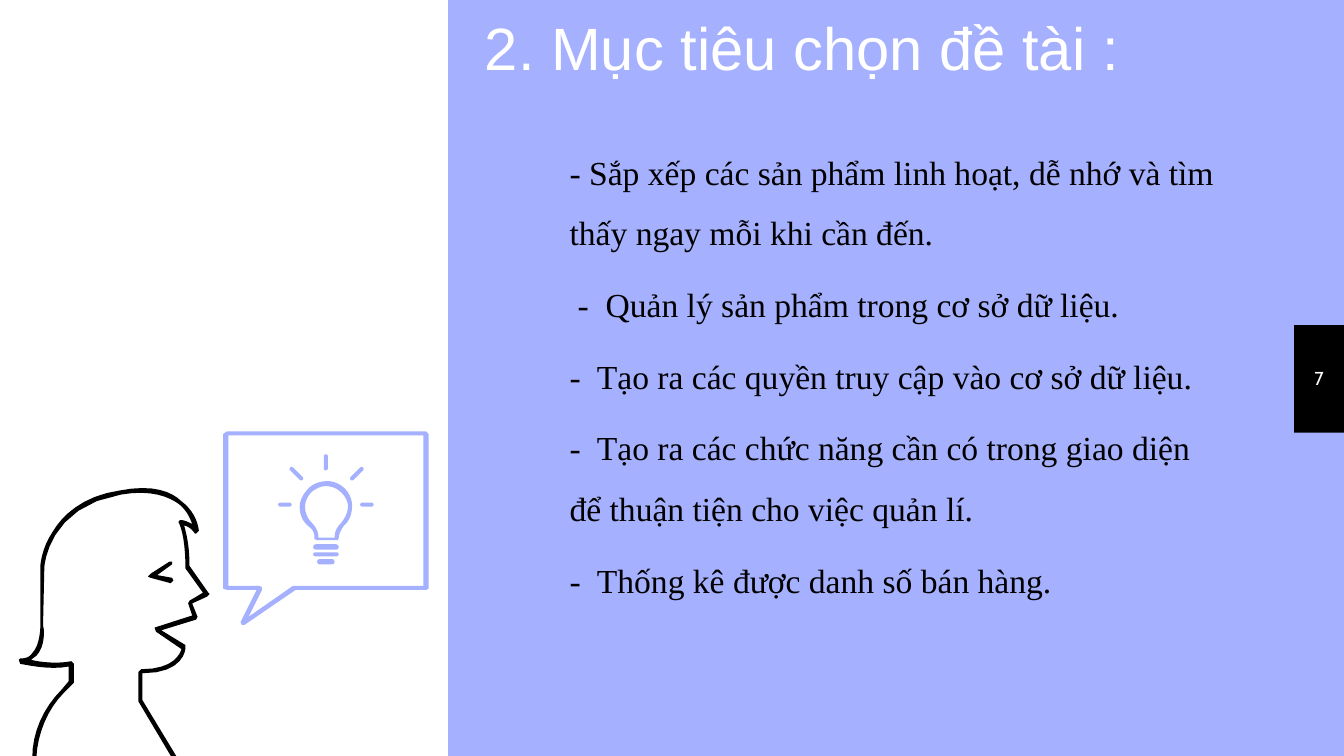
from pptx import Presentation
from pptx import util as u
from pptx.dml.color import RGBColor
from pptx.enum import shapes, text

LAVENDER = RGBColor(0xA5, 0xB0, 0xFE)
WHITE = RGBColor(0xFF, 0xFF, 0xFF)
BLACK = RGBColor(0x00, 0x00, 0x00)
CURVE_STEPS = 8
SLIDE_WIDTH = 10
SLIDE_HEIGHT = SLIDE_WIDTH * 9 / 16

presentation = Presentation()
presentation.slide_width = u.Inches(SLIDE_WIDTH)
presentation.slide_height = u.Inches(SLIDE_HEIGHT)
slide = presentation.slides.add_slide(presentation.slide_layouts[6])
slide.background.fill.solid()
slide.background.fill.fore_color.rgb = LAVENDER


def paint(shape, colour):
    shape.shadow.inherit = False
    shape.fill.solid()
    shape.fill.fore_color.rgb = colour
    shape.line.fill.background()


def draw_outline(contours, colour):
    """Fill contours whose items are points (x, y) or Bezier curves (6 numbers)."""
    builder = None
    for contour in contours:
        points = [contour[0]]
        for item in contour[1:]:
            if len(item) == 2:
                points.append(item)
                continue
            x0, y0 = points[-1]
            x1, y1, x2, y2, x3, y3 = item
            for step in range(1, CURVE_STEPS + 1):
                t = step / CURVE_STEPS
                s = 1 - t
                a, b, c, d = s**3, 3 * s * s * t, 3 * s * t * t, t**3
                points.append((a * x0 + b * x1 + c * x2 + d * x3,
                               a * y0 + b * y1 + c * y2 + d * y3))
        vertices = [(u.Inches(x), u.Inches(y)) for x, y in points]
        if builder is None:
            builder = slide.shapes.build_freeform(*vertices[0])
        else:
            builder.move_to(*vertices[0])
        builder.add_line_segments(vertices[1:], close=True)
    paint(builder.convert_to_shape(), colour)


# Page number block and white side panel
for left, top, width, height, colour in [
    (9.63, 2.42, 0.37, 0.8, BLACK),
    (0, 0, SLIDE_WIDTH / 3, SLIDE_HEIGHT, WHITE),
]:
    panel = slide.shapes.add_shape(
        shapes.MSO_SHAPE.RECTANGLE,
        u.Inches(left), u.Inches(top), u.Inches(width), u.Inches(height))
    paint(panel, colour)

# Title, goals and page number: box, anchor, alignment, font, size, colour, lines
goals = [
    "- Sắp xếp các sản phẩm linh hoạt, dễ nhớ và tìm thấy ngay mỗi khi cần đến.",
    "-  Quản lý sản phẩm trong cơ sở dữ liệu.",
    "-  Tạo ra các quyền truy cập vào cơ sở dữ liệu.",
    "-  Tạo ra các chức năng cần có trong giao diện để thuận tiện cho việc quản lí.",
    "-  Thống kê được danh số bán hàng.",
]
for box, anchor, alignment, font, size, colour, lines in [
    ((3.51, -0.03, 5.36, 0.74), text.MSO_ANCHOR.BOTTOM, text.PP_ALIGN.LEFT,
     "Arial", 32, WHITE, ["2. Mục tiêu chọn đề tài :"]),
    ((3.89, 0.88, 5.36, 4.53), text.MSO_ANCHOR.TOP, text.PP_ALIGN.LEFT,
     "Times New Roman", 18, BLACK, goals),
    ((9.63, 2.41, 0.37, 0.8), text.MSO_ANCHOR.MIDDLE, text.PP_ALIGN.CENTER,
     "Cabin", 10, WHITE, ["7"]),
]:
    frame = slide.shapes.add_textbox(*[u.Inches(value) for value in box]).text_frame
    frame.word_wrap = True
    frame.vertical_anchor = anchor
    frame.margin_left = frame.margin_right = u.Inches(0.1)
    frame.margin_top = frame.margin_bottom = u.Inches(0.1)
    frame.text = "\n".join(lines)
    for index, paragraph in enumerate(frame.paragraphs):
        paragraph.alignment = alignment
        paragraph.font.name = font
        paragraph.font.size = u.Pt(size)
        paragraph.font.color.rgb = colour
        if lines is goals:
            paragraph.line_spacing = 1.5
            paragraph.space_before = u.Pt(6)
            # The second goal sits slightly further in
            indent = u.Inches(0.31 if index == 1 else 0.25)
            properties = paragraph._p.get_or_add_pPr()
            properties.set("marL", str(indent))
            properties.set("indent", "0")

# Eye
draw_outline([[
    (1.12, 4.27), (1.26, 4.18), (1.28, 4.18), (1.28, 4.2), (1.17, 4.28),
    (1.28, 4.3), (1.29, 4.32), (1.27, 4.34), (1.12, 4.3), (1.1, 4.29),
]], BLACK)

# Head and shoulders
draw_outline([[
    (1.38, 4.8), (1.38, 4.82), (1.38, 4.83, 1.37, 5.01, 1.06, 5.01),
    (1.06, 5.21), (1.32, 5.64), (1.28, 5.64), (1.03, 5.22), (1.03, 5),
    (1.05, 4.98), (1.3, 4.98, 1.34, 4.86, 1.35, 4.83),
    (1.16, 4.7), (1.15, 4.67), (1.43, 4.58), (1.4, 4.49), (1.41, 4.47),
    (1.51, 4.41), (1.38, 4.23), (1.38, 3.97, 1.33, 3.89, 1.33, 3.89),
    (1.33, 3.88), (1.34, 3.87), (1.38, 3.87, 1.41, 3.89, 1.43, 3.9),
    (1.41, 3.84, 1.38, 3.79, 1.33, 3.75), (1.26, 3.7, 1.13, 3.64, 0.9, 3.68),
    (0.36, 3.77, 0.33, 4.21, 0.33, 4.22), (0.32, 4.66),
    (0.33, 4.67, 0.34, 4.81, 0.27, 4.88), (0.23, 4.91),
    (0.31, 4.93, 0.44, 4.94, 0.53, 4.92), (0.54, 4.93), (0.55, 4.94),
    (0.55, 5.08), (0.48, 5.15), (0.35, 5.28, 0.28, 5.46, 0.27, 5.64),
    (0.24, 5.64), (0.24, 5.45, 0.32, 5.27, 0.46, 5.13), (0.51, 5.07),
    (0.51, 4.96), (0.37, 4.99, 0.16, 4.94, 0.15, 4.94),
    (0.14, 4.91), (0.15, 4.9), (0.19, 4.9, 0.22, 4.89, 0.24, 4.86),
    (0.3, 4.8, 0.3, 4.66, 0.3, 4.66), (0.3, 4.22),
    (0.3, 4.2, 0.31, 4.08, 0.39, 3.96), (0.46, 3.84, 0.61, 3.69, 0.89, 3.65),
    (1.14, 3.6, 1.28, 3.66, 1.35, 3.73), (1.43, 3.79, 1.47, 3.87, 1.48, 3.95),
    (1.46, 3.97), (1.45, 3.97), (1.45, 3.97, 1.42, 3.92, 1.37, 3.91),
    (1.38, 3.95, 1.41, 4.04, 1.41, 4.21), (1.55, 4.41), (1.56, 4.42),
    (1.54, 4.44), (1.43, 4.49), (1.47, 4.59), (1.46, 4.61), (1.2, 4.69),
]], BLACK)

# Speech bubble: outer and inner edge
draw_outline([
    [(1.69, 3.21), (3.17, 3.21), (3.19, 3.23), (3.19, 4.38), (3.17, 4.39),
     (2.2, 4.39), (1.82, 4.65), (1.8, 4.65), (1.79, 4.63), (1.91, 4.39),
     (1.69, 4.39), (1.66, 4.38), (1.66, 3.23)],
    [(1.7, 4.36), (1.93, 4.36), (1.95, 4.37), (1.95, 4.39), (1.85, 4.59),
     (2.18, 4.36), (3.15, 4.36), (3.15, 3.24), (1.7, 3.24)],
], LAVENDER)

# Bulb base and rays: left, top, width, height, rotation
for left, top, width, height, rotation in [
    (2.33, 4.05, 0.19, 0.04, 0),
    (2.33, 4.11, 0.19, 0.03, 0),
    (2.36, 4.16, 0.13, 0.04, 0),
    (2.41, 3.38, 0.03, 0.12, 0),
    (2.07, 3.74, 0.1, 0.03, 0),
    (2.68, 3.74, 0.1, 0.03, 0),
    (2.59, 3.51, 0.13, 0.03, -45),
    (2.14, 3.51, 0.13, 0.03, 45),
]:
    bar = slide.shapes.add_shape(
        shapes.MSO_SHAPE.ROUNDED_RECTANGLE,
        u.Inches(left), u.Inches(top), u.Inches(width), u.Inches(height))
    bar.adjustments[0] = 0.5
    bar.rotation = rotation
    paint(bar, LAVENDER)

# Bulb glass: outer and inner edge
draw_outline([
    [(2.56, 3.91), (2.54, 3.94, 2.52, 3.97, 2.52, 4.01), (2.51, 4.02),
     (2.36, 4.02), (2.34, 4.01), (2.34, 4), (2.34, 3.97, 2.33, 3.94, 2.3, 3.92),
     (2.25, 3.88, 2.23, 3.83, 2.23, 3.77), (2.23, 3.72, 2.26, 3.67, 2.3, 3.63),
     (2.34, 3.59, 2.4, 3.58, 2.45, 3.58), (2.54, 3.59, 2.61, 3.66, 2.62, 3.75),
     (2.62, 3.81, 2.61, 3.87, 2.56, 3.91)],
    [(2.59, 3.76), (2.58, 3.69, 2.52, 3.63, 2.45, 3.62),
     (2.4, 3.61, 2.36, 3.63, 2.32, 3.66), (2.29, 3.69, 2.27, 3.73, 2.27, 3.77),
     (2.27, 3.82, 2.29, 3.86, 2.32, 3.89), (2.35, 3.92, 2.37, 3.96, 2.37, 4),
     (2.49, 4), (2.49, 3.95, 2.51, 3.92, 2.54, 3.89),
     (2.57, 3.85, 2.59, 3.81, 2.59, 3.76)],
], LAVENDER)

presentation.save("out.pptx")
